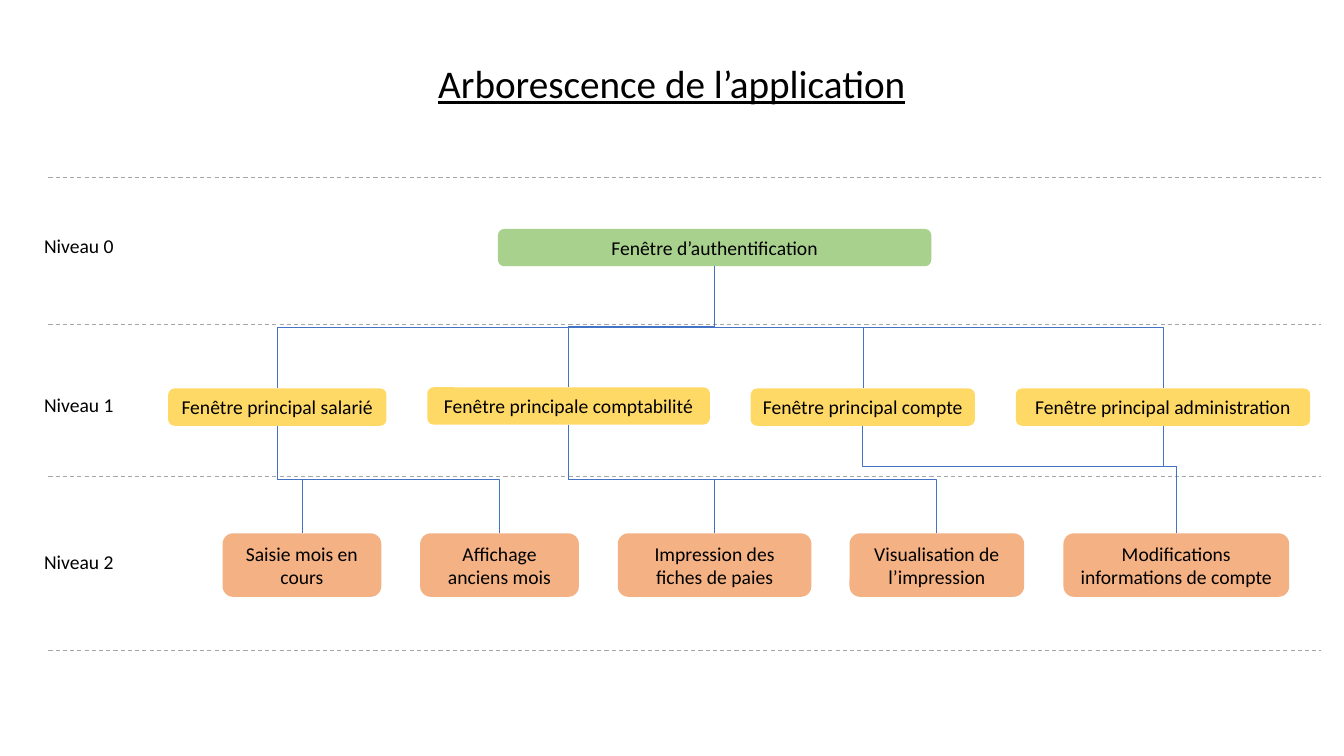
from dataclasses import dataclass

from lxml.etree import SubElement
from pptx import Presentation
from pptx.dml.color import RGBColor
from pptx.enum.dml import MSO_LINE
from pptx.enum.shapes import MSO_CONNECTOR, MSO_SHAPE
from pptx.enum.text import MSO_ANCHOR, PP_ALIGN
from pptx.oxml.ns import qn
from pptx.shapes.autoshape import Shape
from pptx.shapes.connector import Connector
from pptx.slide import Slide
from pptx.util import Cm, Pt

BLACK = RGBColor(0x00, 0x00, 0x00)
GREY = RGBColor(0xA5, 0xA5, 0xA5)
BLUE = RGBColor(0x44, 0x72, 0xC4)
GREEN = RGBColor(0xA9, 0xD1, 0x8E)
YELLOW = RGBColor(0xFF, 0xD9, 0x66)
ORANGE = RGBColor(0xF4, 0xB1, 0x83)
FONT = "Calibri"
TOP_SITE, BOTTOM_SITE = 0, 2


@dataclass(frozen=True)
class Window:
    key: str
    text: str
    left: float
    top: float
    width: float
    height: float
    fill: RGBColor


@dataclass(frozen=True)
class Link:
    parent: str
    child: str
    bend: float = 0.5


@dataclass(frozen=True)
class Level:
    text: str
    top: float


WINDOWS = [
    Window("login", "Fenêtre d’authentification", 12.55, 5.77, 10.92, 0.94, GREEN),
    Window("employee", "Fenêtre principal salarié", 4.24, 9.79, 5.5, 0.94, YELLOW),
    Window("accounting", "Fenêtre principale comptabilité", 10.77, 9.76, 7.12, 0.94, YELLOW),
    Window("account", "Fenêtre principal compte", 18.92, 9.79, 5.65, 0.94, YELLOW),
    Window("admin", "Fenêtre principal administration", 25.6, 9.79, 7.42, 0.94, YELLOW),
    Window("entry", "Saisie mois en cours", 5.61, 13.44, 4, 1.6, ORANGE),
    Window("history", "Affichage anciens mois", 10.59, 13.44, 4, 1.6, ORANGE),
    Window("printing", "Impression des fiches de paies", 15.57, 13.44, 4.88, 1.6, ORANGE),
    Window("preview", "Visualisation de l’impression", 21.41, 13.44, 4.4, 1.6, ORANGE),
    Window("changes", "Modifications informations de compte", 26.8, 13.44, 5.69, 1.6, ORANGE),
]
LINKS = [
    Link("employee", "entry"),
    Link("employee", "history"),
    Link("accounting", "printing"),
    Link("accounting", "preview"),
    Link("account", "changes", 0.374),
    Link("admin", "changes", 0.374),
    Link("login", "employee"),
    Link("login", "accounting"),
    Link("login", "account"),
    Link("login", "admin"),
]
LEVELS = [Level("Niveau 0", 5.77), Level("Niveau 1", 9.78), Level("Niveau 2", 13.74)]
SEPARATORS = [4.47, 8.18, 12.01, 16.38]


def write_text(shape: Shape, text: str, size: float, alignment: PP_ALIGN,
               anchor: MSO_ANCHOR, underline: bool = False) -> None:
    frame = shape.text_frame
    frame.text = text
    frame.word_wrap = True
    frame.vertical_anchor = anchor
    paragraph = frame.paragraphs[0]
    paragraph.alignment = alignment
    for span in paragraph.runs:
        span.font.name = FONT
        span.font.size = Pt(size)
        span.font.color.rgb = BLACK
        if underline:
            span.font.underline = True


def style_line(connector: Connector, color: RGBColor, width: float) -> None:
    connector.line.color.rgb = color
    connector.line.width = Pt(width)
    SubElement(connector.element.spPr, qn("a:effectLst"))


def add_separator(page: Slide, top: float) -> None:
    separator = page.shapes.add_connector(
        MSO_CONNECTOR.STRAIGHT, Cm(1.22), Cm(top), Cm(33.3), Cm(top))
    style_line(separator, GREY, 0.75)
    separator.line.dash_style = MSO_LINE.DASH


def add_level(page: Slide, level: Level) -> None:
    box = page.shapes.add_textbox(Cm(0.86), Cm(level.top), Cm(4.52), Cm(0.86))
    write_text(box, level.text, 14, PP_ALIGN.LEFT, MSO_ANCHOR.TOP)


def add_window(page: Slide, window: Window) -> Shape:
    box = page.shapes.add_shape(
        MSO_SHAPE.ROUNDED_RECTANGLE, Cm(window.left), Cm(window.top),
        Cm(window.width), Cm(window.height))
    box.shadow.inherit = False
    box.fill.solid()
    box.fill.fore_color.rgb = window.fill
    box.line.fill.background()
    write_text(box, window.text, 14, PP_ALIGN.CENTER, MSO_ANCHOR.MIDDLE)
    return box


def add_link(page: Slide, parent: Shape, child: Shape, bend: float) -> None:
    connector = page.shapes.add_connector(MSO_CONNECTOR.ELBOW, 0, 0, 0, 0)
    connector.begin_connect(parent, BOTTOM_SITE)
    connector.end_connect(child, TOP_SITE)
    start_x = parent.left + parent.width // 2
    end_x = child.left + child.width // 2
    start_y = parent.top + parent.height
    run, drop = end_x - start_x, child.top - start_y
    connector.left = (start_x + end_x - drop) // 2
    connector.top = (start_y + child.top - abs(run)) // 2
    connector.width, connector.height = drop, abs(run)
    transform = connector.element.spPr.find(qn("a:xfrm"))
    transform.set("rot", "16200000" if run > 0 else "5400000")
    transform.set("flipH", "1" if run > 0 else "0")
    transform.set("flipV", "0")
    geometry = connector.element.spPr.find(qn("a:prstGeom"))
    guides = geometry.find(qn("a:avLst"))
    SubElement(guides, qn("a:gd"), name="adj1", fmla=f"val {round(bend * 100000)}")
    style_line(connector, BLUE, 0.5)


deck = Presentation()
deck.slide_width, deck.slide_height = Cm(33.87), Cm(19.05)
page = deck.slides.add_slide(deck.slide_layouts.get_by_name("Title Only"))

title = page.shapes.title
title.left, title.top, title.width, title.height = Cm(10.21), Cm(1.37), Cm(13.44), Cm(1.45)
write_text(title, "Arborescence de l’application", 28, PP_ALIGN.CENTER,
           MSO_ANCHOR.TOP, underline=True)

for separator_top in SEPARATORS:
    add_separator(page, separator_top)
for level in LEVELS:
    add_level(page, level)
boxes = {window.key: add_window(page, window) for window in WINDOWS}
for link in LINKS:
    add_link(page, boxes[link.parent], boxes[link.child], link.bend)

deck.save("out.pptx")
